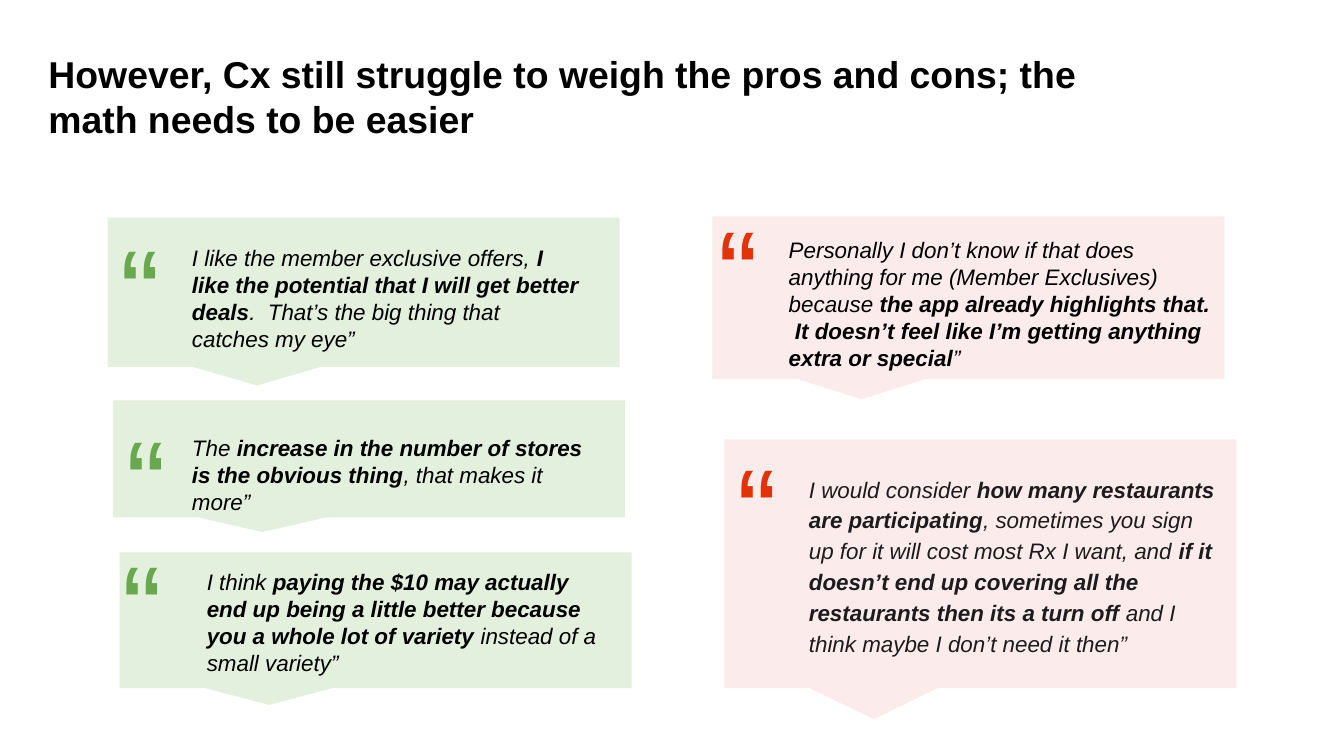
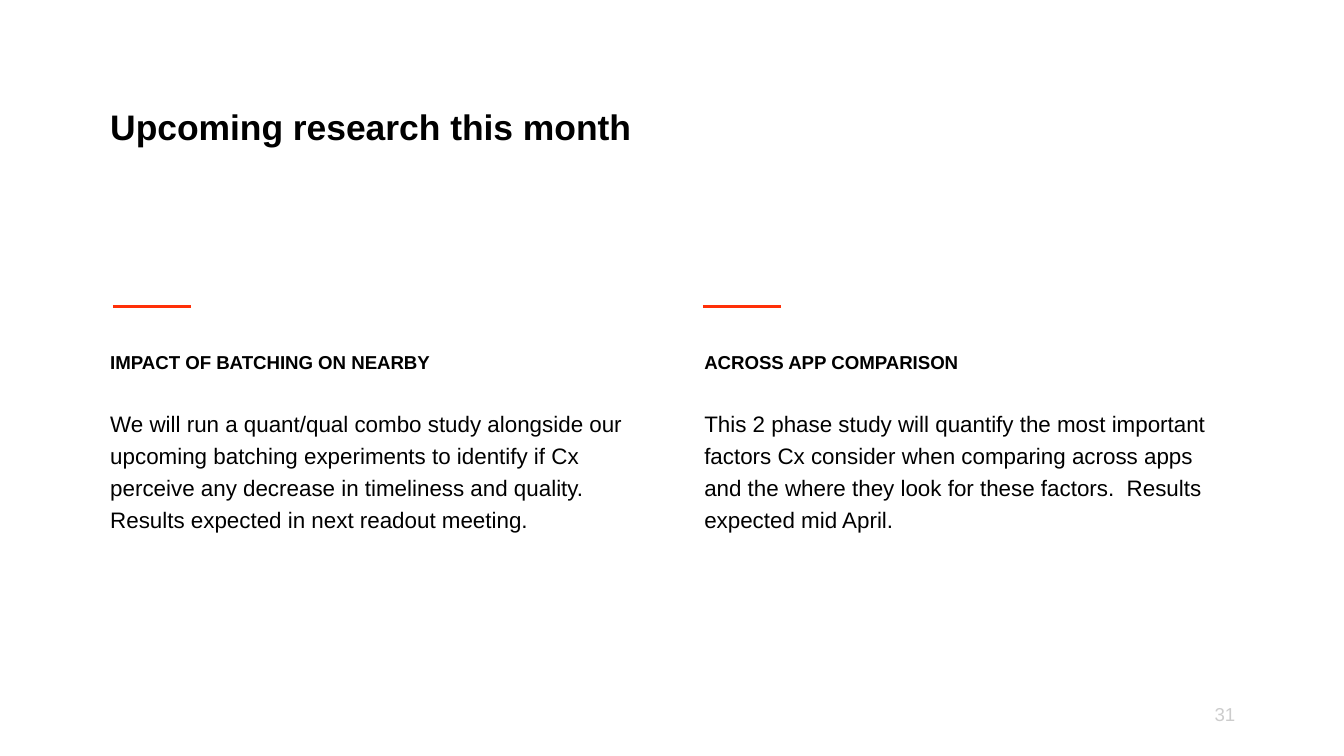
from dataclasses import dataclass

from lxml.etree import SubElement
from pptx import Presentation
from pptx.dml.color import RGBColor
from pptx.enum.shapes import MSO_CONNECTOR, MSO_SHAPE
from pptx.enum.text import MSO_ANCHOR, MSO_AUTO_SIZE, PP_ALIGN
from pptx.oxml.ns import qn
from pptx.util import Inches, Pt

FONT = "Arial"
BLACK = RGBColor(0x00, 0x00, 0x00)
CHARCOAL = RGBColor(0x1D, 0x1C, 0x1D)
GRAY = RGBColor(0xCC, 0xCC, 0xCC)
RED = RGBColor(0xFF, 0x30, 0x08)
RED_MARK = RGBColor(0xE2, 0x32, 0x08)
GREEN_MARK = RGBColor(0x6A, 0xA8, 0x4F)
PINK = RGBColor(0xFB, 0xE9, 0xE9)
GREEN = RGBColor(0x93, 0xC4, 0x7D)

SLIDE_WIDTH = Inches(10)
SLIDE_HEIGHT = SLIDE_WIDTH * 9 // 16
TITLE_ONLY, COMPARISON = 5, 4
CALLOUT_WIDTH = 3.81
MARK_SIZE = (0.6, 0.87)
COLUMN_WIDTH = 4.15


@dataclass
class Tone:
    """Colours shared by the quotes of one column."""
    fill: RGBColor
    opacity: int
    mark: RGBColor


@dataclass
class Quote:
    """A callout, its quotation mark and its words, regular and bold in turn."""
    tone: Tone
    callout: tuple
    mark: tuple
    text: tuple
    runs: list
    color: RGBColor = BLACK
    line_spacing: float = 1.0


LIKES = Tone(GREEN, 25, GREEN_MARK)
DOUBTS = Tone(PINK, 87, RED_MARK)

QUOTES = [
    Quote(LIKES, (0.8, 1.62, 1.11), (0.8, 1.5), (1.33, 1.72, 3.09, 1.01), [
        "I like the member exclusive offers, ",
        "I like the potential that I will get better deals",
        ".  That’s the big thing that catches my eye”"]),
    Quote(LIKES, (0.84, 2.98, 0.87), (0.84, 2.92), (1.33, 3.13, 3.28, 0.61), [
        "The ",
        "increase in the number of stores is the obvious thing",
        ", that makes it more”"]),
    Quote(LIKES, (0.89, 4.11, 1.01), (0.81, 3.85), (1.44, 4.13, 3.21, 1.01), [
        "I think ",
        "paying the $10 may actually end up being a little better because "
        "you a whole lot of variety",
        " instead of a small variety”"]),
    Quote(DOUBTS, (5.3, 1.61, 1.21), (5.25, 1.36), (5.77, 1.66, 3.35, 1.21), [
        "Personally I don’t know if that does anything for me "
        "(Member Exclusives) because ",
        "the app already highlights that.  It doesn’t feel like I’m getting "
        "anything extra or special",
        "”"]),
    Quote(DOUBTS, (5.39, 3.27, 1.85), (5.39, 3.13), (5.92, 3.41, 3.28, 1.57), [
        "I would consider ",
        "how many restaurants are participating",
        ", sometimes you sign up for it will cost most Rx I want, and ",
        "if it doesn’t end up covering all the restaurants then its a turn off ",
        "and I think maybe I don’t need it then”"], CHARCOAL, 1.15),
]

STUDIES = [
    (0.72, 0.84, "IMPACT OF BATCHING ON NEARBY",
     "We will run a quant/qual combo study alongside our upcoming batching "
     "experiments to identify if Cx perceive any decrease in timeliness and "
     "quality. Results expected in next readout meeting."),
    (5.14, 5.23, "ACROSS APP COMPARISON",
     "This 2 phase study will quantify the most important factors Cx consider "
     "when comparing across apps and the where they look for these factors.  "
     "Results expected mid April."),
]


def set_font(font, size, color, bold=False, italic=False):
    """Apply the deck typeface with a size, colour and style."""
    font.name, font.size, font.bold, font.italic = FONT, Pt(size), bold, italic
    font.color.rgb = color


def set_frame(shape, anchor=MSO_ANCHOR.TOP):
    """Give a text frame even insets and wrapping, and return its paragraph."""
    frame = shape.text_frame
    frame.word_wrap = True
    frame.auto_size = MSO_AUTO_SIZE.NONE
    frame.vertical_anchor = anchor
    frame.margin_left = frame.margin_right = Inches(0.1)
    frame.margin_top = frame.margin_bottom = Inches(0.1)
    return frame.paragraphs[0]


def add_text_box(slide, left, top, width, height, anchor=MSO_ANCHOR.TOP):
    """Add an empty text box and return its first paragraph."""
    box = slide.shapes.add_textbox(*map(Inches, (left, top, width, height)))
    return set_frame(box, anchor)


def fill_placeholder(placeholder, box, text, size, bold=False, line_spacing=1.0):
    """Move a placeholder and set its text without a bullet."""
    placeholder.left, placeholder.top, placeholder.width, placeholder.height = map(
        Inches, box)
    paragraph = set_frame(placeholder)
    paragraph.text = text
    paragraph.alignment = PP_ALIGN.LEFT
    paragraph.line_spacing = line_spacing
    paragraph.space_before = Pt(0)
    properties = paragraph._p.get_or_add_pPr()
    properties.set("marL", "0")
    properties.set("indent", "0")
    SubElement(properties, qn("a:buNone"))
    set_font(paragraph.font, size, BLACK, bold)


def add_callout(slide, tone, left, top, height):
    """Add a translucent speech callout."""
    shape = slide.shapes.add_shape(
        MSO_SHAPE.RECTANGULAR_CALLOUT,
        *map(Inches, (left, top, CALLOUT_WIDTH, height)))
    shape.shadow.inherit = False
    shape.line.fill.background()
    shape.fill.solid()
    shape.fill.fore_color.rgb = tone.fill
    color = shape._element.spPr.find(qn("a:solidFill"))[0]
    SubElement(color, qn("a:alpha"), val=str(tone.opacity * 1000))


def add_quote(slide, quote):
    """Add a callout with its quotation mark and words."""
    add_callout(slide, quote.tone, *quote.callout)
    mark = add_text_box(slide, *quote.mark, *MARK_SIZE)
    mark.text = "“"
    set_font(mark.font, 64, quote.tone.mark)
    words = add_text_box(slide, *quote.text)
    words.line_spacing = quote.line_spacing
    for index, text in enumerate(quote.runs):
        run = words.add_run()
        run.text = text
        set_font(run.font, 12, quote.color, bold=index % 2 == 1, italic=True)


def add_accent(slide, left):
    """Add the short red rule above a study."""
    line = slide.shapes.add_connector(
        MSO_CONNECTOR.STRAIGHT,
        *map(Inches, (left, 2.28, left + 0.58, 2.28)))
    line.line.color.rgb = RED
    line.line.width = Pt(1.5)
    SubElement(line._element.spPr, qn("a:effectLst"))


def add_page_number(slide, number):
    """Add the page number at the bottom right."""
    paragraph = add_text_box(slide, 8.69, 5.1, 0.6, 0.43, MSO_ANCHOR.MIDDLE)
    paragraph.text = number
    paragraph.alignment = PP_ALIGN.RIGHT
    set_font(paragraph.font, 10, GRAY)


def build_quotes_slide(presentation):
    """Build the slide of customer quotes."""
    slide = presentation.slides.add_slide(presentation.slide_layouts[TITLE_ONLY])
    fill_placeholder(
        slide.shapes.title, (0.26, 0.28, 8.4, 0.45),
        "However, Cx still struggle to weigh the pros and cons; "
        "the math needs to be easier", 20, bold=True)
    for quote in QUOTES:
        add_quote(slide, quote)


def build_research_slide(presentation):
    """Build the slide of upcoming studies."""
    slide = presentation.slides.add_slide(presentation.slide_layouts[COMPARISON])
    fill_placeholder(slide.shapes.title, (0.72, 0.68, 7.97, 0.57),
                     "Upcoming research this month", 19, bold=True)
    for index, (left, accent_left, heading, summary) in enumerate(STUDIES):
        heading_index = 1 + 2 * index
        fill_placeholder(slide.placeholders[heading_index],
                         (left, 2.51, COLUMN_WIDTH, 0.41), heading, 10, bold=True)
        fill_placeholder(slide.placeholders[heading_index + 1],
                         (left, 2.91, COLUMN_WIDTH, 1.1), summary, 12,
                         line_spacing=1.2)
        add_accent(slide, accent_left)
    add_page_number(slide, "31")


def main():
    """Build and save the presentation."""
    presentation = Presentation()
    presentation.slide_width = SLIDE_WIDTH
    presentation.slide_height = SLIDE_HEIGHT
    build_quotes_slide(presentation)
    build_research_slide(presentation)
    presentation.save("out.pptx")


if __name__ == "__main__":
    main()
